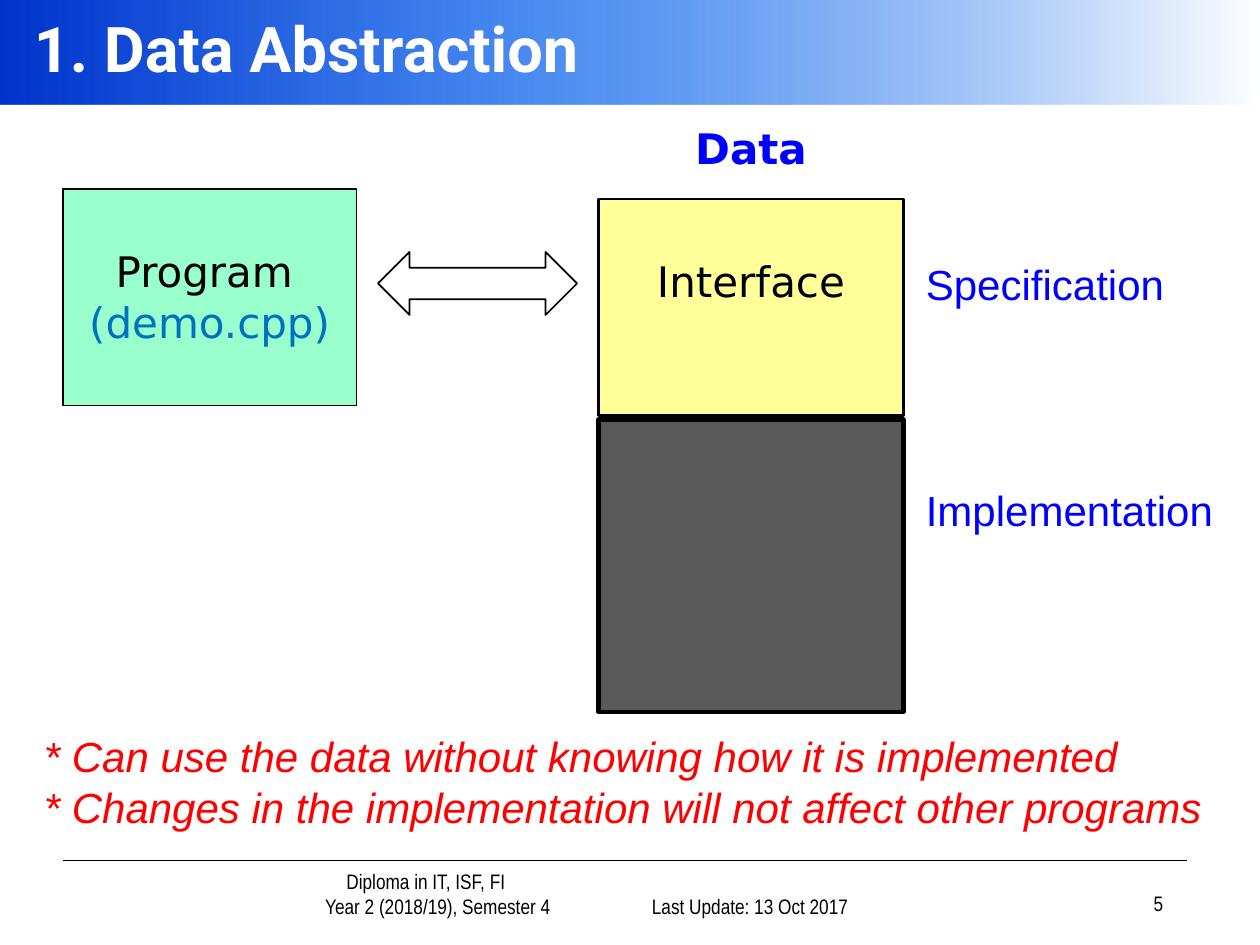
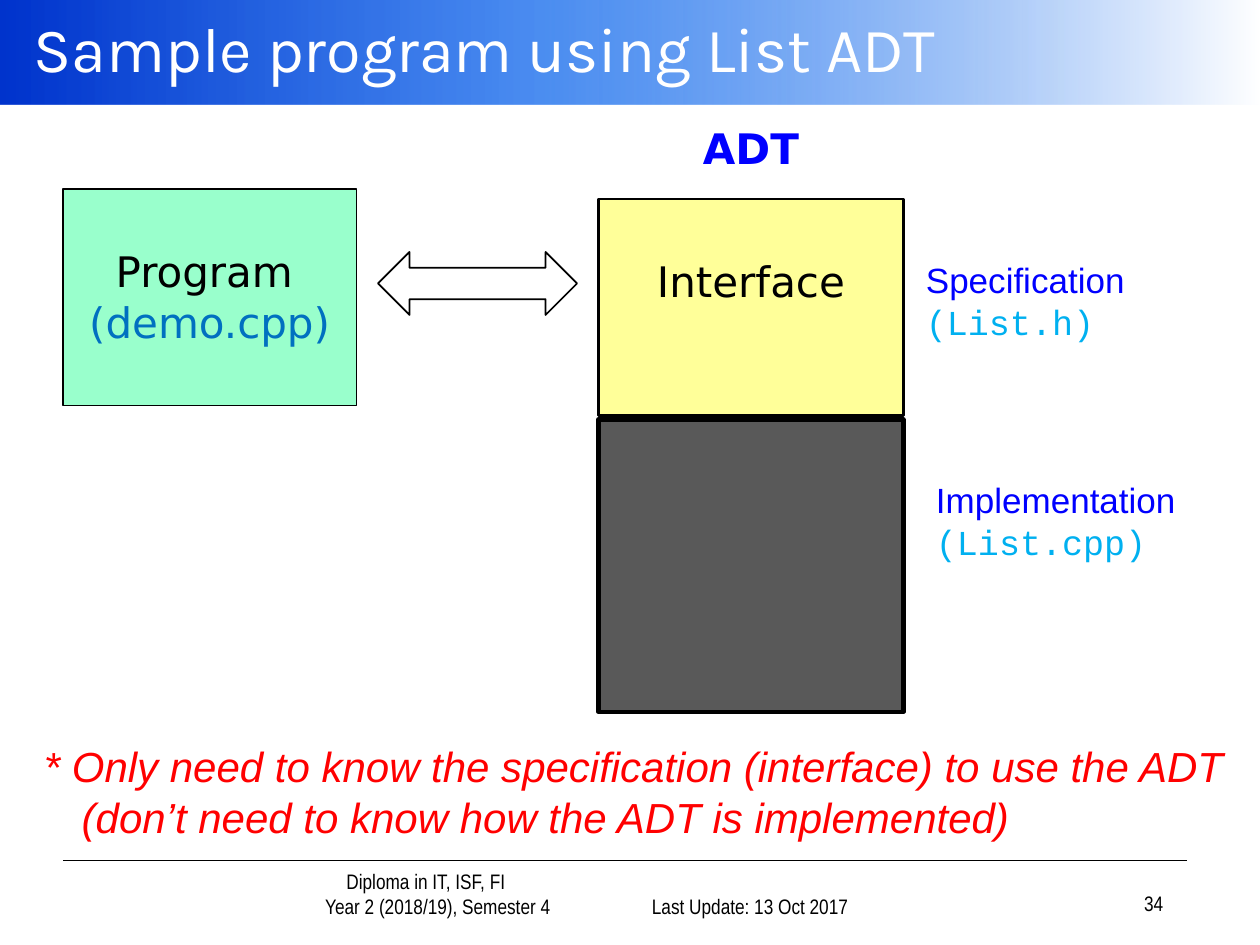
from lxml.etree import SubElement
from pptx import Presentation
from pptx.dml.color import RGBColor
from pptx.enum.shapes import MSO_CONNECTOR as Link, MSO_SHAPE as Kind
from pptx.enum.text import MSO_ANCHOR as Anchor, PP_ALIGN as Align
from pptx.oxml import parse_xml
from pptx.oxml.ns import nsdecls, qn
from pptx.util import Pt

SCALE = 9144
WIDE, HIGH = 1000, 750
INK = {
    "black": "000000", "white": "FFFFFF", "mint": "99FFCC", "cream": "FFFF99",
    "grey": "595959", "blue": "0000FF", "steel": "0070C0", "sky": "00B0F0",
    "red": "FF0000", "navy": "0033CC", "azure": "005EEB",
}
STOPS = [(0, "navy", 100), (43, "azure", 70), (100, "white", 100)]
SANS, PLAIN, SLIM, CODE = "DejaVu Sans", "Arial", "Arial Narrow", "Courier New"


def px(num):
    return round(num * SCALE)


def hue(name):
    return RGBColor.from_string(INK[name])


def write(frame, lines, inset=5, anchor=Anchor.TOP, **base):
    frame.word_wrap = True
    frame.margin_left = frame.margin_right = px(10)
    frame.margin_top, frame.margin_bottom = px(inset), px(5)
    frame.vertical_anchor = anchor
    for num, line in enumerate(lines):
        text, own = line if isinstance(line, tuple) else (line, {})
        look = {**base, **own}
        para = frame.add_paragraph() if num else frame.paragraphs[0]
        para.alignment = look.get("align", Align.LEFT)
        props = para._p.get_or_add_pPr()
        props.set("marL", str(px(look.get("left", 0))))
        props.set("indent", str(px(-look.get("hang", 0))))
        run = para.add_run()
        run.text = text
        font = run.font
        font.name, font.size = look["font"], Pt(look["size"])
        font.bold, font.italic = look.get("bold", False), look.get("italic", False)
        font.color.rgb = hue(look["color"])


def label(slide, box, lines, **look):
    area = slide.shapes.add_textbox(*map(px, box))
    write(area.text_frame, lines, **look)


def block(slide, box, fill=None, line=None, kind=Kind.RECTANGLE):
    shape = slide.shapes.add_shape(kind, *map(px, box))
    shape.shadow.inherit = False
    if fill:
        shape.fill.solid()
        shape.fill.fore_color.rgb = hue(fill)
    else:
        shape.fill.background()
    if line:
        shape.line.color.rgb = hue("black")
        shape.line.width = Pt(line)
    else:
        shape.line.fill.background()
    return shape


def band(slide, box, title, **look):
    left, top, wide, high = box
    props = block(slide, box)._element.spPr
    stops = "".join(
        f'<a:gs pos="{pos * 1000}"><a:srgbClr val="{INK[name]}">'
        f'<a:alpha val="{alpha * 1000}"/></a:srgbClr></a:gs>'
        for pos, name, alpha in STOPS)
    blend = parse_xml(f'<a:gradFill {nsdecls("a")} rotWithShape="1"><a:gsLst>{stops}'
                      '</a:gsLst><a:lin ang="0" scaled="1"/></a:gradFill>')
    props.replace(props.find(qn("a:noFill")), blend)
    label(slide, (left + 17, top, wide - 17, high - 8), [title],
          anchor=Anchor.MIDDLE, size=36, color="white", **look)


def footer(slide, box, page):
    left, top, wide, high = box
    rule = slide.shapes.add_connector(
        Link.STRAIGHT, px(left), px(top), px(left + wide), px(top))
    rule.line.color.rgb = hue("black")
    rule.line.width = Pt(1)
    SubElement(rule._element.spPr, qn("a:effectLst"))
    look = dict(font=SLIM, size=12, color="black", anchor=Anchor.BOTTOM)
    label(slide, (left + 118, top + 9, 290, high), [
        ("Diploma in IT, ISF, FI", dict(left=50)),
        ("Year 2 (2018/19), Semester 4", dict(left=69)),
    ], align=Align.CENTER, **look)
    for shift, drop, text in [(425, 9, "Last Update: 13 Oct 2017"), (675, 7, page)]:
        label(slide, (left + shift, top + drop, 208, high), [text],
              align=Align.RIGHT, **look)


def diagram(slide, box, head):
    left, top, wide, high = box
    look = dict(font=SANS, size=24, color="black")
    client = block(slide, (left, top + 58, 233, 172), "mint", 0.75)
    write(client.text_frame, [
        ("Program", dict(left=32)),
        ("(demo.cpp)", dict(left=11, color="steel")),
    ], inset=45, **look)
    block(slide, (left + 250, top + 108, 158, 50), line=1, kind=Kind.LEFT_RIGHT_ARROW)
    stack, span = left + wide - 242, 242
    face = block(slide, (stack, top + 66, span, 172), "cream", 1.5)
    write(face.text_frame, ["Interface"], inset=45, align=Align.CENTER, **look)
    block(slide, (stack, top + 241, span, high - 241), "grey", 2.5)
    label(slide, (stack, top, span, 50), [head], align=Align.CENTER,
          **{**look, "color": "blue", "bold": True})


def page(deck, num, title, style, head, tags, note, lines):
    slide = deck.slides.add_slide(deck.slide_layouts[6])
    footer(slide, (50, 683, 892, 42), num)
    band(slide, (0, 0, WIDE, 83), title, **style)
    diagram(slide, (50, 92, 667, 473), head)
    for box, size, name, *code in tags:
        files = [(text, dict(font=CODE, color="sky")) for text in code]
        label(slide, box, [name] + files, font=PLAIN, size=size, color="blue")
    label(slide, note, lines, font=PLAIN, size=24, color="red",
          italic=True, left=30, hang=30)


def main():
    deck = Presentation()
    deck.slide_width, deck.slide_height = px(WIDE), px(HIGH)
    page(deck, "5", "1. Data Abstraction", dict(font="Roboto", bold=True), "Data", [
        ((725, 200, 242, 84), 24, "Specification"),
        ((725, 380, 267, 84), 24, "Implementation"),
    ], (25, 575, 950, 111), [
        "* Can use the data without knowing how it is implemented",
        "* Changes in the implementation will not affect other programs",
    ])
    page(deck, "34", "Sample program using List ADT", dict(font="Karla"), "ADT", [
        ((725, 200, 242, 94), 20, "Specification", "(List.h)"),
        ((733, 375, 242, 94), 20, "Implementation", "(List.cpp)"),
    ], (25, 583, 975, 91), [
        "* Only need to know the specification (interface) to use the ADT "
        "(don’t need to know how the ADT is implemented)",
    ])
    deck.save("out.pptx")


if __name__ == "__main__":
    main()
